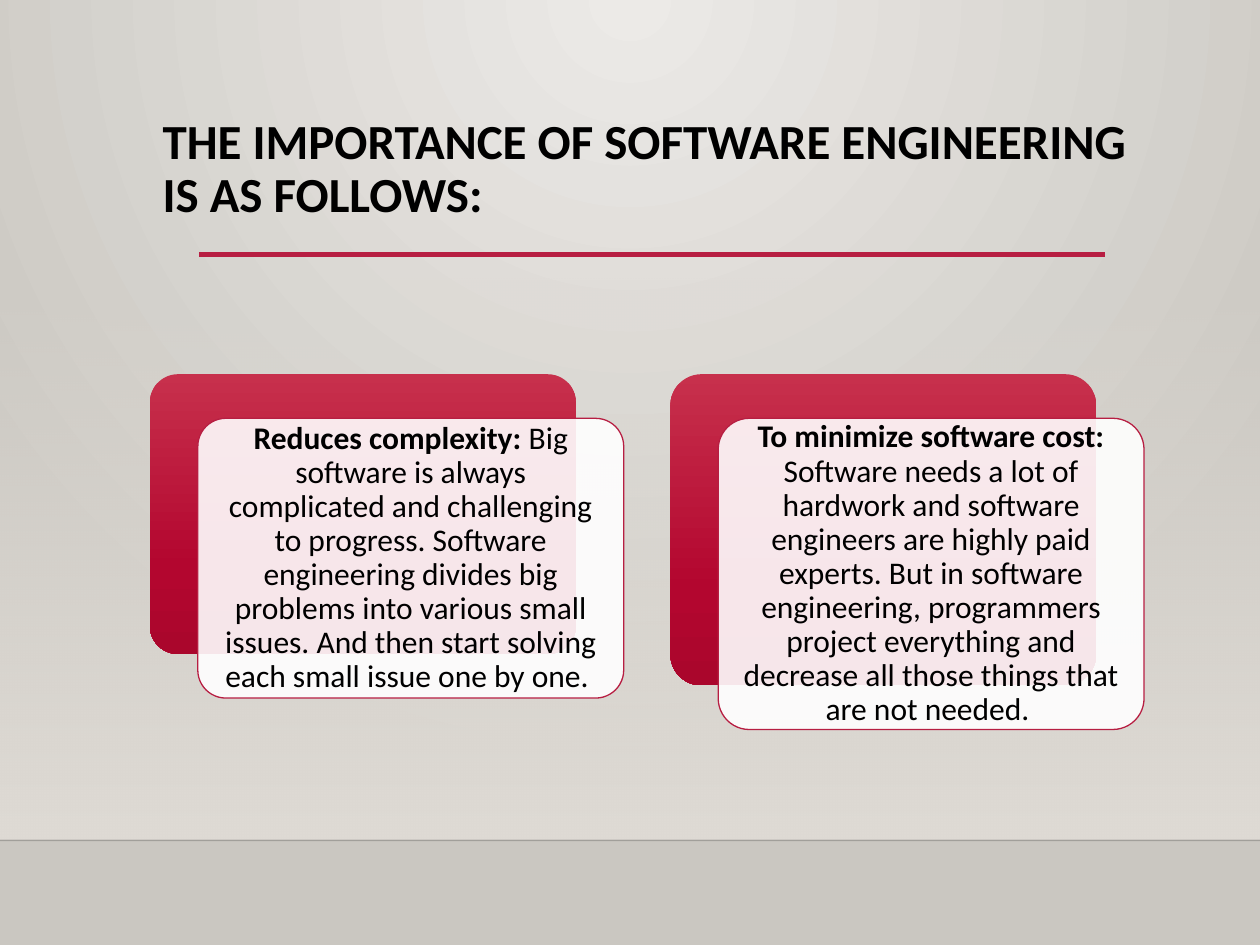
from pptx import Presentation
from pptx.dml.color import RGBColor
from pptx.enum.shapes import MSO_CONNECTOR, MSO_SHAPE
from pptx.enum.text import MSO_ANCHOR, PP_ALIGN
from pptx.oxml import parse_xml
from pptx.oxml.ns import nsdecls, qn
from pptx.util import Inches, Pt

# Content
TITLE = "THE IMPORTANCE OF SOFTWARE ENGINEERING IS AS FOLLOWS:"
CARDS = [
    # heading, text (opens with a no-break space), height
    ("Reduces complexity:",
     " Big software is always complicated and challenging to progress. "
     "Software engineering divides big problems into various small issues. "
     "And then start solving each small issue one by one. ", 2.22),
    ("To minimize software cost:",
     " Software needs a lot of hardwork and software engineers are highly paid "
     "experts. But in software engineering, programmers project everything and "
     "decrease all those things that are not needed. ", 2.47),
]

# Style: gradient stops are (position %, colour, opacity %)
FONT = "Calibri"
BLACK, WHITE, CRIMSON = "000000", "FFFFFF", "B71E42"
BACKDROP = [(0, "ECEAE7", 100), (100, "CAC7C1", 100)]
WALL = [(0, "DFDBD5", 0), (100, "DFDBD5", 100)]
PANEL = [(0, "C7304C", 100), (69, "B3062F", 100), (100, "AA062C", 100)]
DOWNWARD = '<a:lin ang="5400000" scaled="0"/>'
FROM_TOP = ('<a:path path="circle"><a:fillToRect l="43000" t="0" r="43000" '
            'b="100000"/></a:path>')

# Layout in inches
LEFT, TOP, CARD_WIDTH, COLUMN_STEP = 1.19, 2.97, 3.38, 4.13
OFFSET_X, OFFSET_Y = 0.38, 0.35
FLOOR = 6.67


def color(hex_string):
    return RGBColor.from_string(hex_string)


def set_alpha(properties, percent):
    """Make the first solid colour below an element translucent."""
    rgb = next(properties.iter(qn("a:srgbClr")))
    rgb.append(parse_xml(f'<a:alpha {nsdecls("a")} val="{percent * 1000}"/>'))


def set_gradient(fill, properties, stops, direction):
    fill.solid()
    stop_list = "".join(
        f'<a:gs pos="{position * 1000}"><a:srgbClr val="{rgb}">'
        f'<a:alpha val="{opacity * 1000}"/></a:srgbClr></a:gs>'
        for position, rgb, opacity in stops)
    gradient = parse_xml(f'<a:gradFill {nsdecls("a")} rotWithShape="1">'
                         f'<a:gsLst>{stop_list}</a:gsLst>{direction}</a:gradFill>')
    properties.replace(properties.find(qn("a:solidFill")), gradient)


def add_box(slide, kind, left, top, width, height):
    box = slide.shapes.add_shape(
        kind, Inches(left), Inches(top), Inches(width), Inches(height))
    box.shadow.inherit = False
    box.line.fill.background()
    if kind == MSO_SHAPE.ROUNDED_RECTANGLE:
        box.adjustments[0] = 0.1
    return box


def add_rule(slide, left, right, y, rgb, width):
    rule = slide.shapes.add_connector(
        MSO_CONNECTOR.STRAIGHT, Inches(left), Inches(y), Inches(right), Inches(y))
    rule.line.color.rgb = color(rgb)
    rule.line.width = Pt(width)
    properties = rule._element.spPr
    properties.append(parse_xml(f'<a:effectLst {nsdecls("a")}/>'))
    return rule


def add_span(para, text, size, bold):
    span = para.add_run()
    span.text = text
    span.font.name = FONT
    span.font.size = Pt(size)
    span.font.bold = bold
    span.font.color.rgb = color(BLACK)


def add_card(slide, left, heading, text, height):
    panel = add_box(slide, MSO_SHAPE.ROUNDED_RECTANGLE, left, TOP, CARD_WIDTH, height)
    set_gradient(panel.fill, panel._element.spPr, PANEL, DOWNWARD)

    card = add_box(slide, MSO_SHAPE.ROUNDED_RECTANGLE,
                   left + OFFSET_X, TOP + OFFSET_Y, CARD_WIDTH, height)
    card.fill.solid()
    card.fill.fore_color.rgb = color(WHITE)
    set_alpha(card._element.spPr, 90)
    card.line.color.rgb = color(CRIMSON)
    card.line.width = Pt(0.75)

    frame = card.text_frame
    frame.word_wrap = True
    frame.vertical_anchor = MSO_ANCHOR.MIDDLE
    frame.margin_left = frame.margin_right = Inches(0.07)
    frame.margin_top = frame.margin_bottom = Inches(0.07)
    para = frame.paragraphs[0]
    para.alignment = PP_ALIGN.CENTER
    para.line_spacing = 0.9
    add_span(para, heading, 18, True)
    add_span(para, text, 18, False)


def main():
    deck = Presentation()
    deck.slide_width, deck.slide_height = Inches(10), Inches(7.5)
    slide = deck.slides.add_slide(deck.slide_layouts[5])

    # Backdrop, wall and floor edge
    backdrop = slide.background.fill
    backdrop.solid()
    set_gradient(backdrop, next(slide._element.iter(qn("p:bgPr"))), BACKDROP, FROM_TOP)
    wall = add_box(slide, MSO_SHAPE.RECTANGLE, 0, 2.2, 10, 4.46)
    set_gradient(wall.fill, wall._element.spPr, WALL, DOWNWARD)
    floor_edge = add_rule(slide, 0, 10, FLOOR, BLACK, 1)
    set_alpha(floor_edge._element.spPr, 20)

    # Title and its rule
    add_rule(slide, 1.58, 8.77, 2.02, CRIMSON, 2.5)
    title = slide.shapes.title
    title.left, title.top = Inches(LEFT), Inches(0.88)
    title.width, title.height = Inches(7.88), Inches(1.15)
    title.text_frame.word_wrap = True
    title.text_frame.vertical_anchor = MSO_ANCHOR.TOP
    para = title.text_frame.paragraphs[0]
    para.alignment = PP_ALIGN.LEFT
    para.line_spacing = 0.9
    add_span(para, TITLE, 28, True)

    # Cards
    for column, (heading, text, height) in enumerate(CARDS):
        add_card(slide, LEFT + column * COLUMN_STEP, heading, text, height)

    deck.save("out.pptx")


if __name__ == "__main__":
    main()
